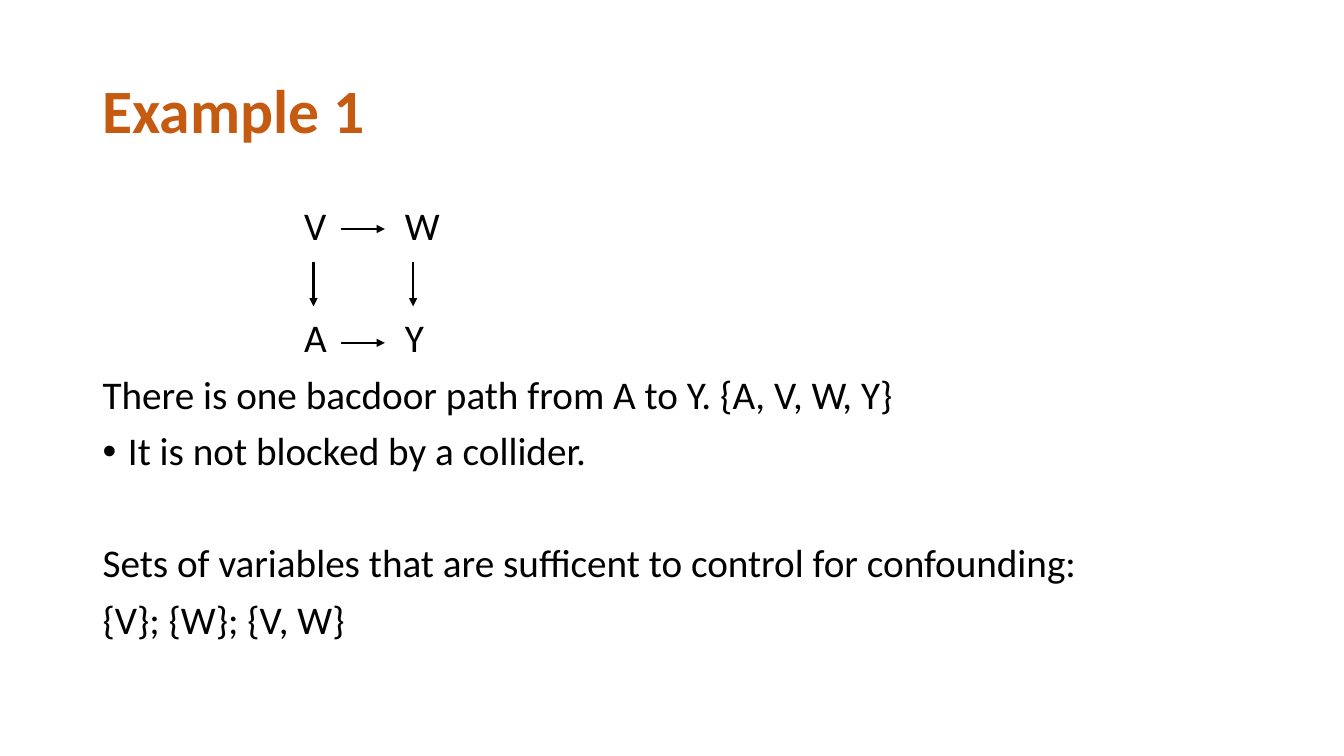
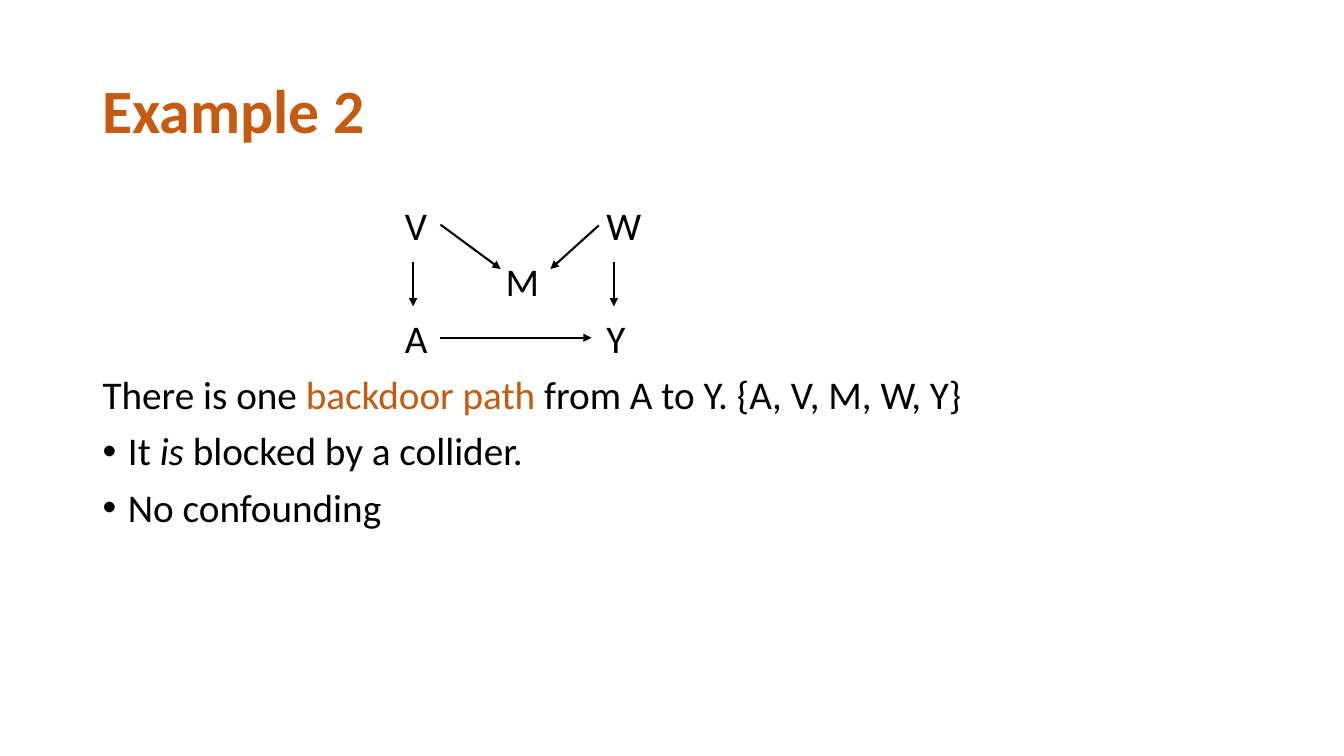
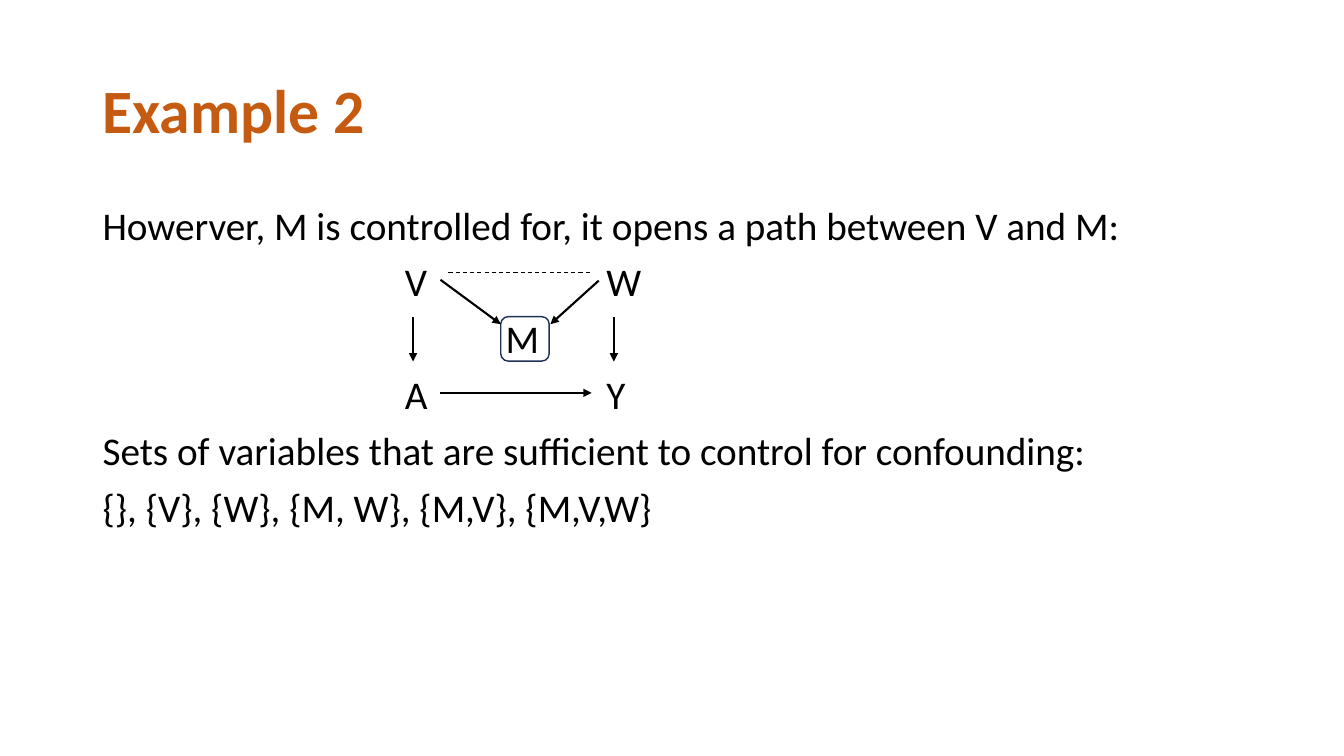
from lxml import etree
from pptx import Presentation
from pptx.dml.color import RGBColor
from pptx.enum.dml import MSO_LINE
from pptx.enum.shapes import MSO_CONNECTOR, MSO_SHAPE
from pptx.enum.text import MSO_ANCHOR, MSO_AUTO_SIZE, PP_ALIGN
from pptx.oxml.ns import qn
from pptx.util import Cm, Pt

ORANGE = RGBColor(0xC5, 0x5A, 0x11)
BLACK = RGBColor(0, 0, 0)
WHITE = RGBColor(0xFF, 0xFF, 0xFF)
NAVY = RGBColor(0x1E, 0x32, 0x56)

FONT = "Calibri"
STRAIGHT = MSO_CONNECTOR.STRAIGHT
ROUNDED = MSO_SHAPE.ROUNDED_RECTANGLE
DASH = MSO_LINE.DASH
LEFT = PP_ALIGN.LEFT
MIDDLE, TOP = MSO_ANCHOR.MIDDLE, MSO_ANCHOR.TOP
NO_FIT = MSO_AUTO_SIZE.NONE

TAB_WIDTH = str(Cm(2.54))
BULLET_INDENT = Cm(0.64)
NORMAL_GAP = Pt(10)
ROW_GAP = Pt(50)  # leaves one text row empty

# Diagram arrows in cm: x and y of the start, x and y of the end
SQUARE_ARROWS = [
    (8.59, 5.77, 9.7, 5.77),    # V to W
    (8.59, 8.64, 9.7, 8.64),    # A to Y
    (10.41, 6.6, 10.41, 7.72),  # W to Y
    (7.9, 6.6, 7.9, 7.72),      # V to A
]
COLLIDER_ARROWS = [
    (10.41, 6.6, 10.41, 7.72),   # V to A
    (15.47, 6.6, 15.47, 7.72),   # W to Y
    (11.1, 5.66, 12.62, 6.78),   # V to M
    (15.09, 5.68, 13.87, 6.78),  # W to M
    (11.1, 8.51, 14.91, 8.51),   # A to Y
]
COLLIDER_SHIFT = 1.39

# Body paragraphs: runs of (text, style), bullet, space before
COLLIDER_ROWS = [
    ([("\t\t\tV\t\tW", "")], False, NORMAL_GAP),
    ([("\t\t\t\tM", "")], False, NORMAL_GAP),
    ([("\t\t\tA\t\tY", "")], False, NORMAL_GAP),
]
SLIDES = [
    ("Example 1", [
        ([("\t\tV\tW", "")], False, NORMAL_GAP),
        ([("\t\tA\tY", "")], False, ROW_GAP),
        ([("There is one bacdoor path from A to Y. {A, V, W, Y}", "")], False, NORMAL_GAP),
        ([("It is not blocked by a collider.", "")], True, NORMAL_GAP),
        ([("Sets of variables that are sufficent to control for confounding:", "")],
         False, ROW_GAP),
        ([("{V}; {W}; {V, W}", "")], False, NORMAL_GAP),
    ], SQUARE_ARROWS, 0),
    ("Example 2", COLLIDER_ROWS + [
        ([("There is one ", ""), ("backdoor path ", "accent"),
          ("from A to Y. {A, V, M, W, Y}", "")], False, NORMAL_GAP),
        ([("It ", ""), ("is ", "italic"), ("blocked by a collider.", "")], True, NORMAL_GAP),
        ([("No confounding", "")], True, NORMAL_GAP),
    ], COLLIDER_ARROWS, 0),
    ("Example 2", [
        ([("Howerver, M is controlled for, it opens a path between V and M:", "")],
         False, NORMAL_GAP),
    ] + COLLIDER_ROWS + [
        ([("Sets of variables that are sufficient to control for confounding:", "")],
         False, NORMAL_GAP),
        ([("{}, {V}, {W}, {M, W}, {M,V}, {M,V,W}", "")], False, NORMAL_GAP),
    ], COLLIDER_ARROWS, COLLIDER_SHIFT),
]


def add_run(paragraph, text, size, color):
    run = paragraph.add_run()
    run.text = text
    run.font.name = FONT
    run.font.size = Pt(size)
    run.font.color.rgb = color
    return run


def add_line(slide, ends, width, dashed=False):
    """Draw a black line: dashed and plain, or solid with an arrowhead."""
    connector = slide.shapes.add_connector(STRAIGHT, *[Cm(value) for value in ends])
    connector.line.color.rgb = BLACK
    connector.line.width = Pt(width)
    properties = connector.element.spPr
    if dashed:
        connector.line.dash_style = DASH
    else:
        etree.SubElement(properties.find(qn("a:ln")), qn("a:tailEnd"), type="triangle")
    etree.SubElement(properties, qn("a:effectLst"))


presentation = Presentation()
presentation.slide_width = Cm(33.87)
presentation.slide_height = Cm(19.05)
layout = presentation.slide_layouts[1]

# The diagram letters stand on a grid of default tab stops
for level in presentation.slide_master.element.iter(qn("a:lvl1pPr")):
    level.set("defTabSz", TAB_WIDTH)

for heading, rows, arrows, shift in SLIDES:
    slide = presentation.slides.add_slide(layout)
    title, body = slide.placeholders
    for placeholder, top, height, anchor in ((title, 1.02, 3.68, MIDDLE), (body, 5.08, 12.09, TOP)):
        placeholder.left, placeholder.top = Cm(2.33), Cm(top)
        placeholder.width, placeholder.height = Cm(29.21), Cm(height)
        placeholder.text_frame.vertical_anchor = anchor
        placeholder.text_frame.auto_size = NO_FIT

    paragraph = title.text_frame.paragraphs[0]
    paragraph.alignment = LEFT
    paragraph.line_spacing = 0.9
    add_run(paragraph, heading, 44, ORANGE).font.bold = True

    for index, (runs, bullet, gap) in enumerate(rows):
        frame = body.text_frame
        paragraph = frame.add_paragraph() if index else frame.paragraphs[0]
        paragraph.alignment = LEFT
        paragraph.line_spacing = 0.9
        paragraph.space_before = gap
        properties = paragraph._p.get_or_add_pPr()
        indent = BULLET_INDENT if bullet else 0
        properties.set("marL", str(indent))
        properties.set("indent", str(-indent))
        properties.set("defTabSz", TAB_WIDTH)
        if bullet:
            etree.SubElement(properties, qn("a:buFont"), typeface="Arial")
            etree.SubElement(properties, qn("a:buChar"), char="•")
        else:
            etree.SubElement(properties, qn("a:buNone"))
        for text, style in runs:
            run = add_run(paragraph, text, 28, ORANGE if style == "accent" else BLACK)
            if style == "italic":
                run.font.italic = True

    for x1, y1, x2, y2 in arrows:
        add_line(slide, (x1, y1 + shift, x2, y2 + shift), 1.5)

# The last slide marks M as controlled for and V–W as opened
add_line(slide, (11.3, 6.86, 14.91, 6.86), 0.75, dashed=True)
control_box = slide.shapes.add_shape(ROUNDED, Cm(12.62), Cm(7.98), Cm(1.22), Cm(1.12))
control_box.shadow.inherit = False
control_box.fill.solid()
control_box.fill.fore_color.rgb = WHITE
control_box.line.color.rgb = NAVY
control_box.line.width = Pt(1)
title.element.addprevious(control_box.element)

presentation.save("out.pptx")
